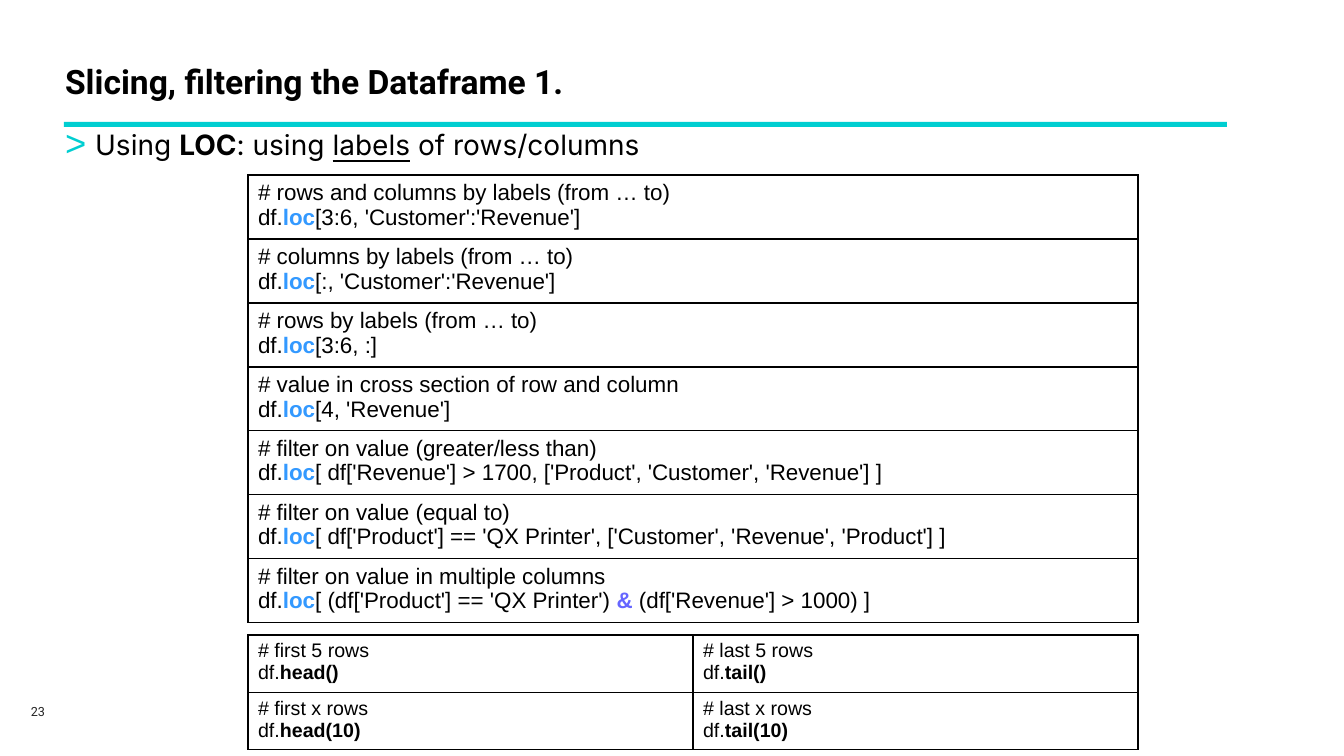
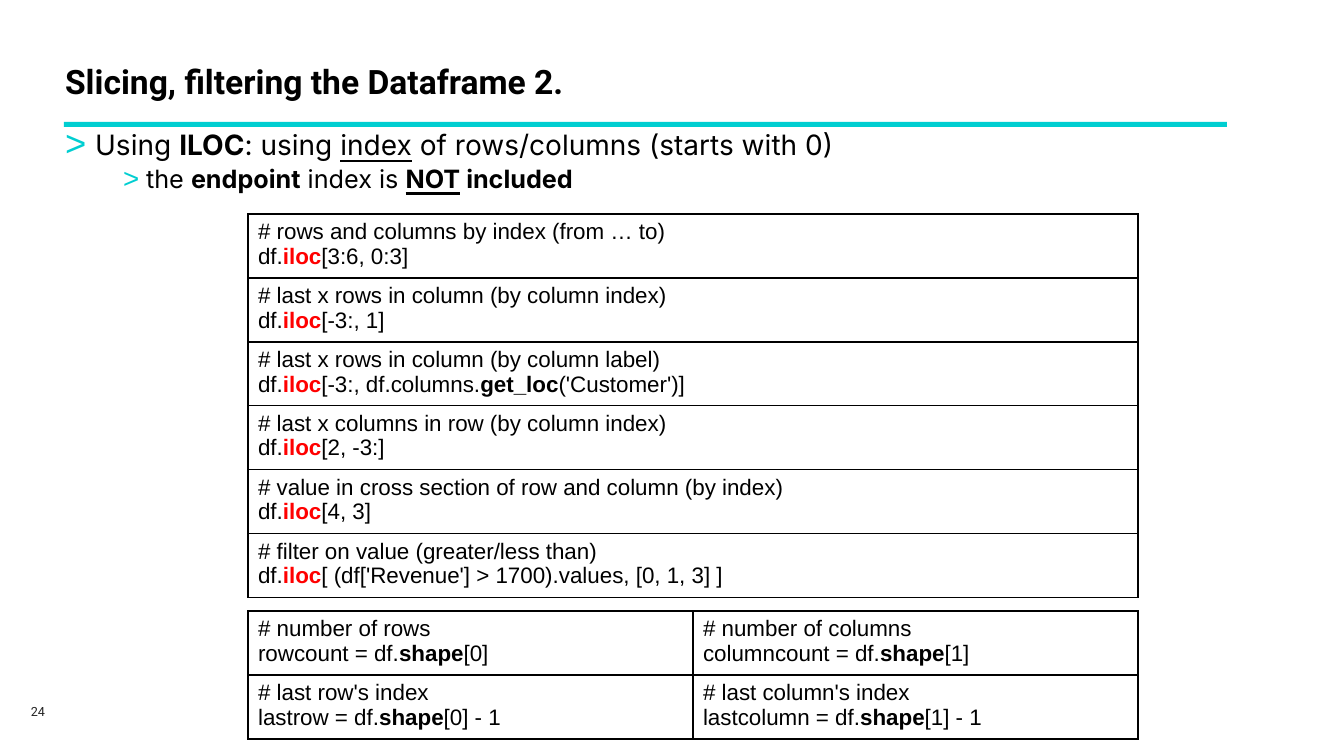
from dataclasses import dataclass
from typing import NamedTuple

from lxml.etree import SubElement
from pptx import Presentation
from pptx.dml.color import RGBColor
from pptx.enum.shapes import MSO_SHAPE
from pptx.enum.text import MSO_ANCHOR, MSO_AUTO_SIZE, PP_ALIGN
from pptx.oxml.ns import qn
from pptx.util import Emu, Pt


@dataclass(frozen=True)
class Theme:
    ink: str = "000000"
    accent: str = "00CED1"
    page_ink: str = "232323"
    loc: str = "3399FF"
    iloc: str = "FF0000"
    operator: str = "6666FF"
    heading_font: str = "Roboto"
    body_font: str = "Inter"
    code_font: str = "Arial"
    title_size: int = 24
    body_sizes: tuple = (20, 18)
    code_size: int = 16
    small_code_size: int = 14
    page_size: int = 9
    line_spacing: float = 0.9


class Span(NamedTuple):
    text: str
    bold: bool = False
    underline: bool = False
    color: str = ""


class BulletLevel(NamedTuple):
    margin: int
    hanging: int
    space_before: float
    bullet_percent: int


THEME = Theme()
EMU_PER_PX = 12192000 / 1344
SLIDE_SIZE = (1344, 756)
TITLE_BOX = (55, 60, 1133, 65)
BODY_BOX = (55, 126, 1180, 609)
BAND_BOX = (64, 122, 1163, 5)
PAGE_BOX = (21, 699, 45, 25)
TABLE_LEFT, TABLE_WIDTH = 248, 890
ROW_HEIGHT, SMALL_ROW_HEIGHT = 64, 54
FIRST_PAGE = 23
BULLET_LEVELS = (BulletLevel(30, 30, 7.5, 130), BulletLevel(81, 23, 3.8, 110))

LOC = Span("loc", bold=True, color=THEME.loc)
ILOC = Span("iloc", bold=True, color=THEME.iloc)


def px(length):
    return Emu(round(length * EMU_PER_PX))


def bold(text):
    return Span(text, bold=True)


def add_runs(paragraph, spans, font, size, color=THEME.ink):
    for part in spans:
        span = Span(part) if isinstance(part, str) else part
        run = paragraph.add_run()
        run.text = span.text
        run.font.name = font
        run.font.size = Pt(size)
        run.font.bold = span.bold
        run.font.underline = span.underline
        run.font.color.rgb = RGBColor.from_string(span.color or color)


def next_paragraph(frame, index):
    return frame.paragraphs[0] if index == 0 else frame.add_paragraph()


def place(placeholder, box):
    placeholder.left, placeholder.top, placeholder.width, placeholder.height = map(px, box)
    frame = placeholder.text_frame
    frame.auto_size = MSO_AUTO_SIZE.NONE
    frame.vertical_anchor = MSO_ANCHOR.TOP
    return frame


def fill_title(slide, title):
    paragraph = place(slide.shapes.title, TITLE_BOX).paragraphs[0]
    paragraph.alignment = PP_ALIGN.LEFT
    paragraph.line_spacing = THEME.line_spacing
    add_runs(paragraph, [bold(title)], THEME.heading_font, THEME.title_size)


def set_bullet(paragraph, level):
    properties = paragraph._p.get_or_add_pPr()
    properties.set("marL", str(px(level.margin)))
    properties.set("indent", str(-px(level.hanging)))
    bullet_color = SubElement(properties, qn("a:buClr"))
    SubElement(bullet_color, qn("a:srgbClr"), val=THEME.accent)
    SubElement(properties, qn("a:buSzPct"), val=str(level.bullet_percent * 1000))
    SubElement(properties, qn("a:buFont"), typeface=THEME.code_font)
    SubElement(properties, qn("a:buChar"), char=">")


def fill_bullets(slide, bullets):
    frame = place(slide.placeholders[1], BODY_BOX)
    for depth, spans in enumerate(bullets):
        level = BULLET_LEVELS[depth]
        paragraph = next_paragraph(frame, depth)
        paragraph.level = depth
        paragraph.line_spacing = THEME.line_spacing
        paragraph.space_before = Pt(level.space_before)
        set_bullet(paragraph, level)
        add_runs(paragraph, spans, THEME.body_font, THEME.body_sizes[depth])


def add_band(slide):
    band = slide.shapes.add_shape(MSO_SHAPE.RECTANGLE, *map(px, BAND_BOX))
    band.shadow.inherit = False
    band.fill.solid()
    band.fill.fore_color.rgb = RGBColor.from_string(THEME.accent)
    band.line.fill.background()


def add_page_number(slide, number):
    frame = slide.shapes.add_textbox(*map(px, PAGE_BOX)).text_frame
    frame.word_wrap = True
    add_runs(frame.paragraphs[0], [str(number)], THEME.heading_font,
             THEME.page_size, THEME.page_ink)


def set_borders(cell):
    properties = cell._tc.get_or_add_tcPr()
    for side in ("lnL", "lnR", "lnT", "lnB"):
        border = SubElement(properties, qn(f"a:{side}"), w=str(Pt(1)))
        border_fill = SubElement(border, qn("a:solidFill"))
        SubElement(border_fill, qn("a:srgbClr"), val=THEME.ink)


def add_code_table(slide, top, rows, row_height=ROW_HEIGHT, size=THEME.code_size):
    column_count = len(rows[0])
    table = slide.shapes.add_table(
        len(rows), column_count, px(TABLE_LEFT), px(top),
        px(TABLE_WIDTH), px(row_height * len(rows))).table
    table.first_row = False
    table.horz_banding = False
    for column in table.columns:
        column.width = px(TABLE_WIDTH / column_count)
    for table_row, snippets in zip(table.rows, rows):
        table_row.height = px(row_height)
        for cell, (comment, code) in zip(table_row.cells, snippets):
            set_borders(cell)
            cell.fill.background()
            for index, spans in enumerate(([f"# {comment}"], code)):
                add_runs(next_paragraph(cell.text_frame, index), spans,
                         THEME.code_font, size)


def accessor_rows(accessor, examples):
    return [[(comment, ["df.", accessor, *rest])] for comment, *rest in examples]


def method_cell(comment, call):
    return comment, ["df.", bold(call)]


def shape_cell(comment, variable, rest):
    return comment, [f"{variable} = df.", bold("shape"), rest]


def add_content_slide(prs, title, bullets):
    slide = prs.slides.add_slide(prs.slide_layouts[1])
    add_page_number(slide, FIRST_PAGE + len(prs.slides) - 1)
    add_band(slide)
    fill_title(slide, title)
    fill_bullets(slide, bullets)
    return slide


def add_loc_slide(prs):
    slide = add_content_slide(prs, "Slicing, filtering the Dataframe 1.", [
        ["Using ", bold("LOC"), ": using ", Span("labels", underline=True),
         " of rows/columns"],
    ])
    add_code_table(slide, 175, accessor_rows(LOC, [
        ("rows and columns by labels (from … to)", "[3:6, 'Customer':'Revenue']"),
        ("columns by labels (from … to)", "[:, 'Customer':'Revenue']"),
        ("rows by labels (from … to)", "[3:6, :]"),
        ("value in cross section of row and column", "[4, 'Revenue']"),
        ("filter on value (greater/less than)",
         "[ df['Revenue'] > 1700, ['Product', 'Customer', 'Revenue'] ]"),
        ("filter on value (equal to)",
         "[ df['Product'] == 'QX Printer', ['Customer', 'Revenue', 'Product'] ]"),
        ("filter on value in multiple columns",
         "[ (df['Product'] == 'QX Printer') ",
         Span("&", bold=True, color=THEME.operator),
         " (df['Revenue'] > 1000) ]"),
    ]))
    add_code_table(slide, 635, [
        [method_cell("first 5 rows", "head()"), method_cell("last 5 rows", "tail()")],
        [method_cell("first x rows", "head(10)"), method_cell("last x rows", "tail(10)")],
    ], SMALL_ROW_HEIGHT, THEME.small_code_size)


def add_iloc_slide(prs):
    slide = add_content_slide(prs, "Slicing, filtering the Dataframe 2.", [
        ["Using ", bold("ILOC"), ": using ", Span("index", underline=True),
         " of rows/columns (starts with 0)"],
        ["the ", bold("endpoint"), " index is ",
         Span("NOT", bold=True, underline=True), bold(" included")],
    ])
    add_code_table(slide, 214, accessor_rows(ILOC, [
        ("rows and columns by index (from … to)", "[3:6, 0:3]"),
        ("last x rows in column (by column index)", "[-3:, 1]"),
        ("last x rows in column (by column label)",
         "[-3:, df.columns.", bold("get_loc"), "('Customer')]"),
        ("last x columns in row (by column index)", "[2, -3:]"),
        ("value in cross section of row and column (by index)", "[4, 3]"),
        ("filter on value (greater/less than)",
         "[ (df['Revenue'] > 1700).values, [0, 1, 3] ]"),
    ]))
    add_code_table(slide, 611, [
        [shape_cell("number of rows", "rowcount", "[0]"),
         shape_cell("number of columns", "columncount", "[1]")],
        [shape_cell("last row's index", "lastrow", "[0] - 1"),
         shape_cell("last column's index", "lastcolumn", "[1] - 1")],
    ])


def main():
    prs = Presentation()
    prs.slide_width, prs.slide_height = map(px, SLIDE_SIZE)
    add_loc_slide(prs)
    add_iloc_slide(prs)
    prs.save("out.pptx")


if __name__ == "__main__":
    main()
